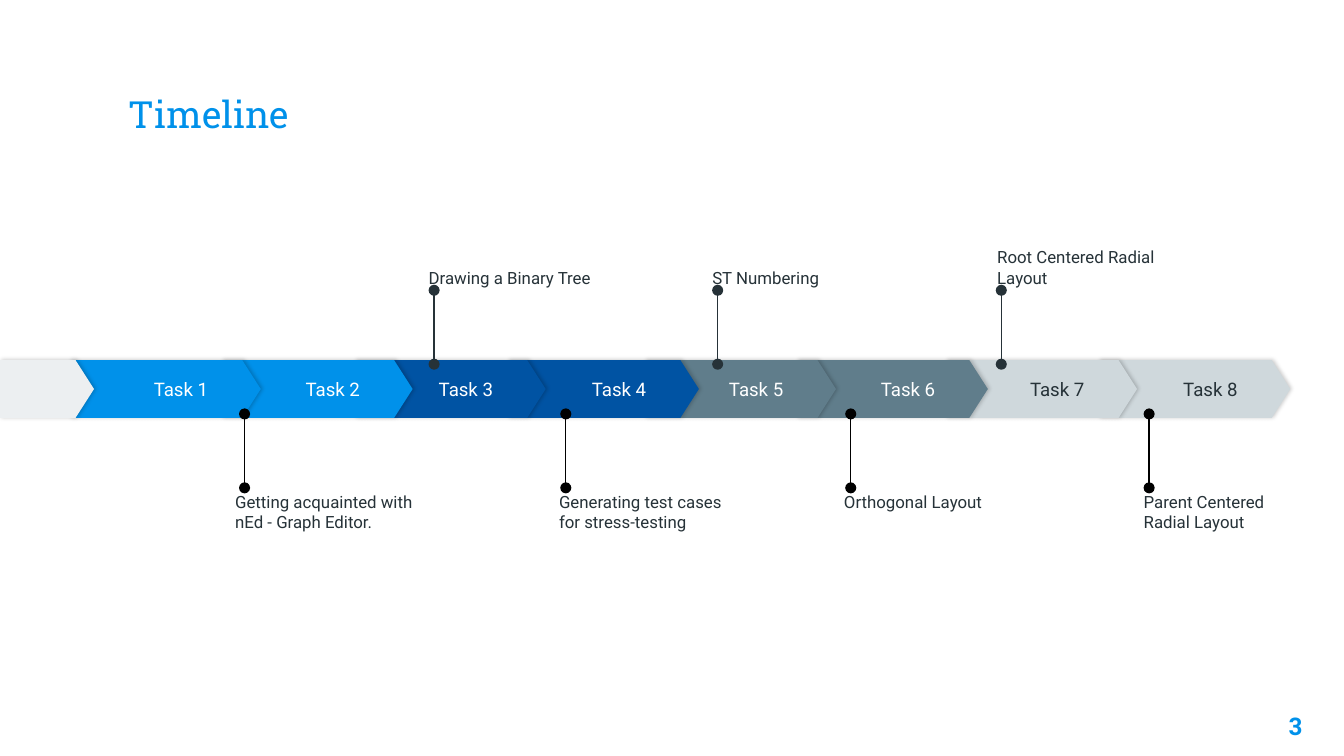
from typing import NamedTuple

import pptx
import pptx.dml.color
import pptx.enum.shapes
import pptx.enum.text
import pptx.oxml
import pptx.oxml.ns
import pptx.util

PX = 9144  # EMU in one px, 100 px to the inch
INK, BLACK, WHITE = "263238", "000000", "FFFFFF"
BRIGHT, NAVY, SLATE, MIST, PALE = "0091EA", "0053A3", "607D8B", "CFD8DC", "ECEFF1"
BAND_TOP, BAND_HEIGHT, TASK_WIDTH = 268, 43, 142
STEM_HEIGHT, NOTE_HEIGHT = 55, 58
TOP = pptx.enum.text.MSO_ANCHOR.TOP
MIDDLE = pptx.enum.text.MSO_ANCHOR.MIDDLE
BOTTOM = pptx.enum.text.MSO_ANCHOR.BOTTOM
LEFT = pptx.enum.text.PP_ALIGN.LEFT
CENTER = pptx.enum.text.PP_ALIGN.CENTER
RIGHT = pptx.enum.text.PP_ALIGN.RIGHT


class Box(NamedTuple):
    left: int
    top: int
    width: int
    height: int


class Style(NamedTuple):
    size: int
    color: str
    font: str = "Roboto"
    bold: bool = False
    align: int = LEFT
    anchor: int = TOP
    inset: tuple[int, int, int, int] = (0, 0, 0, 0)


class Task(NamedTuple):
    label: str
    left: int
    fill: str
    color: str = WHITE
    width: int = TASK_WIDTH


class Note(NamedTuple):
    lines: tuple[str, ...]
    left: int
    stem: int
    above: bool = False
    width: int = 137


TASKS = [
    Task("", 0, PALE, width=70),
    Task("Task 1", 52, BRIGHT),
    Task("Task 2", 165, BRIGHT),
    Task("Task 3", 264, NAVY),
    Task("Task 4", 378, NAVY),
    Task("Task 5", 480, SLATE),
    Task("Task 6", 593, SLATE),
    Task("Task 7", 704, MIST, INK),
    Task("Task 8", 818, MIST, INK),
]
NOTES = [
    Note(("Drawing a Binary Tree",), 319, 323, above=True),
    Note(("ST Numbering",), 530, 534, above=True),
    Note(("Root Centered Radial Layout",), 742, 745, above=True),
    Note(("Getting acquainted with nEd - Graph Editor.",), 175, 182),
    Note(("Generating test cases", "for stress-testing"), 416, 421),
    Note(("Orthogonal Layout",), 628, 633),
    Note(("Parent Centered Radial Layout",), 851, 855, width=113),
]


def px(n: int) -> pptx.util.Emu:
    return pptx.util.Emu(n * PX)


def rgb(value: str) -> pptx.dml.color.RGBColor:
    return pptx.dml.color.RGBColor.from_string(value)


def write(s, lines: tuple[str, ...], style: Style) -> None:
    tf = s.text_frame
    left, top, right, bottom = (px(n) for n in style.inset)
    frame = {"word_wrap": True, "vertical_anchor": style.anchor,
             "margin_left": left, "margin_top": top,
             "margin_right": right, "margin_bottom": bottom}
    for name, value in frame.items():
        setattr(tf, name, value)
    for i, line in enumerate(lines):
        p = tf.add_paragraph() if i else tf.paragraphs[0]
        p.alignment = style.align
        r = p.add_run()
        r.text = line
        font = {"name": style.font, "size": pptx.util.Pt(style.size), "bold": style.bold}
        for name, value in font.items():
            setattr(r.font, name, value)
        r.font.color.rgb = rgb(style.color)


def add_text(shapes, box: Box, lines: tuple[str, ...], style: Style) -> None:
    write(shapes.add_textbox(*map(px, box)), lines, style)


def add_soft_shadow(s) -> None:
    s.shadow.inherit = False
    effects = s.element.spPr.find(pptx.oxml.ns.qn("a:effectLst"))
    effects.append(pptx.oxml.parse_xml(
        f'<a:outerShdw {pptx.oxml.ns.nsdecls("a")} blurRad="28000" dist="10000" dir="0" '
        f'rotWithShape="0"><a:srgbClr val="{BLACK}"><a:alpha val="20000"/></a:srgbClr>'
        '</a:outerShdw>'))


def add_task(shapes, task: Task) -> None:
    s = shapes.add_shape(pptx.enum.shapes.MSO_SHAPE.PENTAGON,
                         *map(px, Box(task.left, BAND_TOP, task.width, BAND_HEIGHT)))
    s.adjustments[0] = 0.32
    s.fill.solid()
    s.fill.fore_color.rgb = rgb(task.fill)
    s.line.fill.background()
    add_soft_shadow(s)
    if task.label:
        write(s, (task.label,), Style(10, task.color, align=CENTER, anchor=MIDDLE,
                                      inset=(30, 0, 0, 0)))


def add_stem(shapes, x: int, bottom: int, color: str) -> None:
    """Draw a vertical line with a dot at each end."""
    s = shapes.add_connector(pptx.enum.shapes.MSO_CONNECTOR.STRAIGHT,
                             px(x), px(bottom), px(x), px(bottom - STEM_HEIGHT))
    s.line.color.rgb = rgb(color)
    s.line.width = pptx.util.Pt(0.75)
    ln = s.element.spPr.find(pptx.oxml.ns.qn("a:ln"))
    for end in ("headEnd", "tailEnd"):
        ln.append(pptx.oxml.parse_xml(
            f'<a:{end} {pptx.oxml.ns.nsdecls("a")} type="oval"/>'))
    s.element.spPr.append(pptx.oxml.parse_xml(
        f'<a:effectLst {pptx.oxml.ns.nsdecls("a")}/>'))


def add_note(shapes, note: Note) -> None:
    if note.above:
        top, anchor, stem_bottom, color = 156, BOTTOM, 271, INK
    else:
        top, anchor, stem_bottom, color = 366, TOP, 363, BLACK
    add_text(shapes, Box(note.left, top, note.width, NOTE_HEIGHT), note.lines,
             Style(9, INK, anchor=anchor))
    add_stem(shapes, note.stem, stem_bottom, color)


def main() -> None:
    prs = pptx.Presentation()
    prs.slide_width = px(1000)
    prs.slide_height = prs.slide_width * 9 // 16
    shapes = prs.slides.add_slide(prs.slide_layouts[6]).shapes
    margins = (10, 10, 10, 10)
    add_text(shapes, Box(86, 34, 828, 77), ("Timeline",),
             Style(20, BRIGHT, "Roboto Slab", anchor=BOTTOM, inset=margins))
    add_text(shapes, Box(919, 519, 60, 43), ("3",),
             Style(13, BRIGHT, bold=True, align=RIGHT, inset=margins))
    for task in reversed(TASKS):  # each arrow tip lies over the next task
        add_task(shapes, task)
    for note in NOTES:
        add_note(shapes, note)
    prs.save("out.pptx")


if __name__ == "__main__":
    main()
